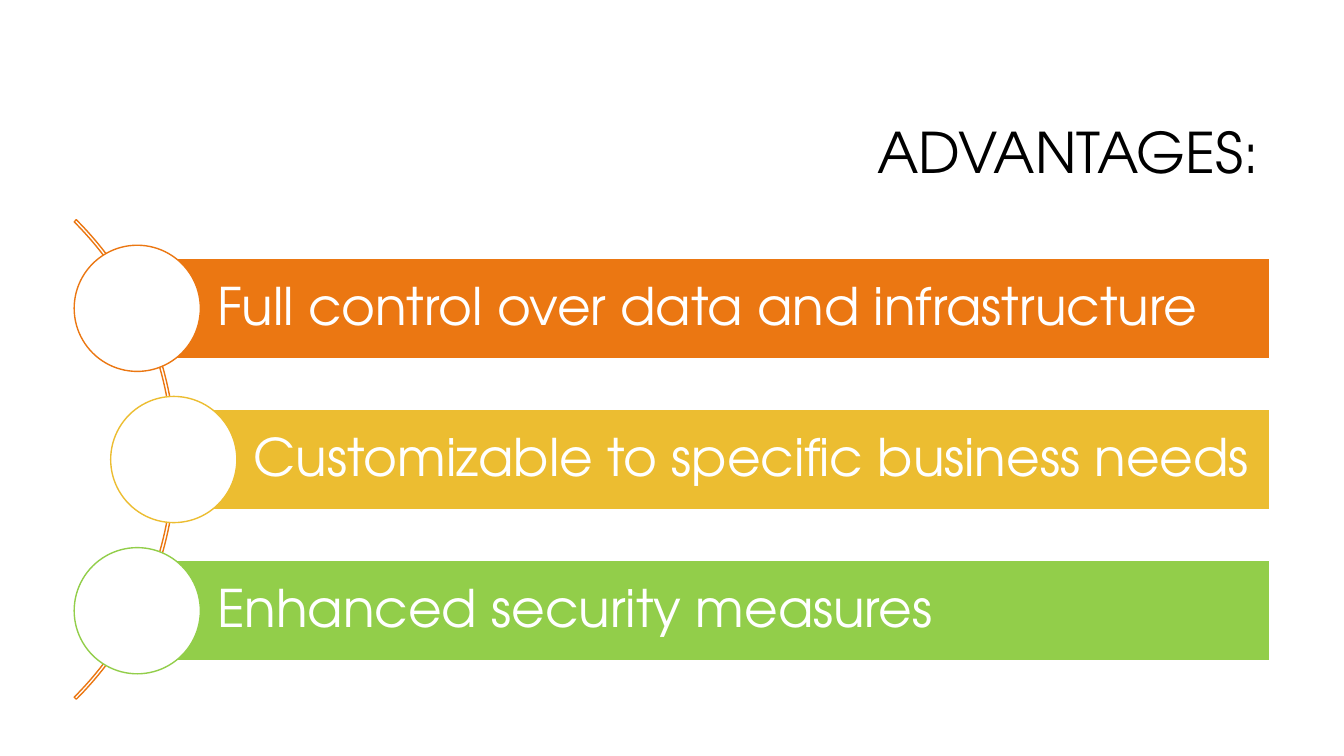
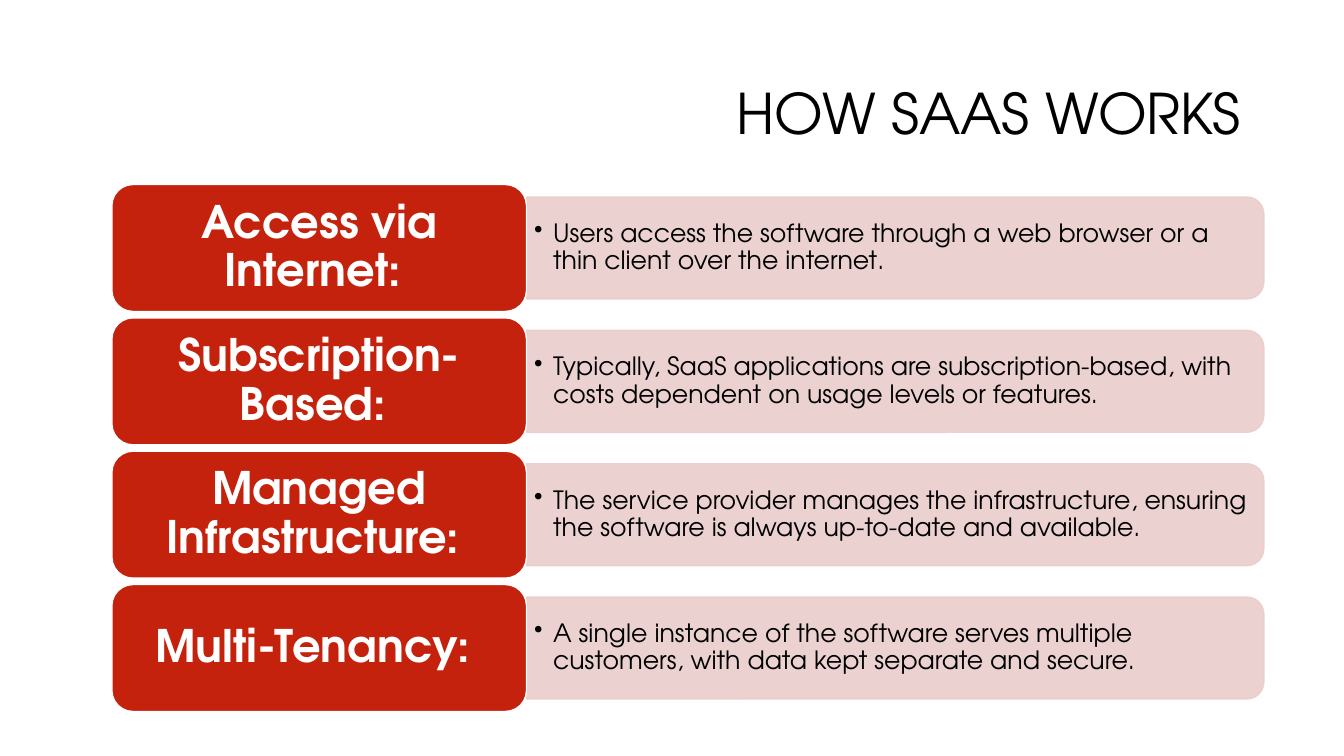
from dataclasses import dataclass

from lxml.etree import SubElement
from pptx import Presentation
from pptx.dml.color import RGBColor
from pptx.enum.shapes import MSO_SHAPE
from pptx.enum.text import MSO_ANCHOR, PP_ALIGN
from pptx.oxml.ns import qn
from pptx.util import Cm, Pt

FONT = "TeX Gyre Adventor"
BLACK = RGBColor(0x00, 0x00, 0x00)
WHITE = RGBColor(0xFF, 0xFF, 0xFF)
ORANGE = RGBColor(0xEB, 0x77, 0x12)
YELLOW = RGBColor(0xEC, 0xBD, 0x31)
GREEN = RGBColor(0x92, 0xCE, 0x4A)
RED = RGBColor(0xC4, 0x22, 0x0D)
PINK = RGBColor(0xEA, 0xCD, 0xCC)

ADVANTAGES = [
    ("Full control over data and infrastructure", ORANGE, 0),
    ("Customizable to specific business needs", YELLOW, 0.92),
    ("Enhanced security measures", GREEN, 0),
]
SAAS_FEATURES = [
    ("Access via Internet: ",
     "Users access the software through a web browser or a thin client over the internet."),
    ("Subscription-Based: ",
     "Typically, SaaS applications are subscription-based, with costs dependent on "
     "usage levels or features."),
    ("Managed Infrastructure: ",
     "The service provider manages the infrastructure, ensuring the software is "
     "always up-to-date and available."),
    ("Multi-Tenancy: ",
     "A single instance of the software serves multiple customers, with data kept "
     "separate and secure."),
]


@dataclass
class Box:
    """A rectangle in centimetres."""
    left: float
    top: float
    width: float
    height: float

    @property
    def middle(self):
        return self.top + self.height / 2

    def lengths(self):
        return [Cm(side) for side in (self.left, self.top, self.width, self.height)]


def centred_box(x, y, width, height):
    return Box(x - width / 2, y - height / 2, width, height)


def write_text(shape, text, *, size, color=BLACK, bold=False, align=PP_ALIGN.LEFT,
               insets=(0.25, 0.25), bullet_indent=None):
    """Write one paragraph; insets are (left and right) or (left, right), in cm."""
    frame = shape.text_frame
    frame.word_wrap = True
    frame.vertical_anchor = MSO_ANCHOR.MIDDLE
    frame.margin_left, frame.margin_right = (Cm(inset) for inset in insets)
    frame.margin_top = frame.margin_bottom = Cm(0.1)
    para = frame.paragraphs[0]
    para.alignment = align
    para.line_spacing = 0.9
    if bullet_indent:
        properties = para._p.get_or_add_pPr()
        properties.set("marL", str(Cm(bullet_indent)))
        properties.set("indent", str(-Cm(bullet_indent)))
        SubElement(properties, qn("a:buChar"), char="•")
    span = para.add_run()
    span.text = text
    span.font.name = FONT
    span.font.size = Pt(size)
    span.font.bold = bold
    span.font.color.rgb = color


def add_figure(page, preset, box, fill, line):
    shape = page.shapes.add_shape(preset, *box.lengths())
    shape.shadow.inherit = False
    if fill is None:
        shape.fill.background()
    else:
        shape.fill.solid()
        shape.fill.fore_color.rgb = fill
    shape.line.color.rgb = line
    shape.line.width = Pt(1)
    return shape


def set_opacity(shape, percent):
    for color in shape._element.spPr.iter(qn("a:srgbClr")):
        SubElement(color, qn("a:alpha"), val=str(percent * 1000))


def add_page(deck, title, title_box):
    page = deck.slides.add_slide(deck.slide_layouts[6])
    heading = page.shapes.add_textbox(*title_box.lengths())
    write_text(heading, title, size=40, align=PP_ALIGN.RIGHT)
    return page


def add_curved_list(page, box, items, pitch):
    """Draw bars with circles at their left ends, along an arc centred on the list."""
    bar_height, circle_size, arc_size = 2.54, 3.18, 17.09
    arc_middle = box.top + (pitch * (len(items) - 1) + bar_height) / 2
    arc_box = centred_box(box.left - 7.58, arc_middle, arc_size, arc_size)
    arc = add_figure(page, MSO_SHAPE.BLOCK_ARC, arc_box, None, ORANGE)
    for index, value in enumerate((189, 27, 0.0044)):
        arc.adjustments[index] = value

    for row, (text, color, shift) in enumerate(items):
        bar_box = Box(box.left + shift, box.top + row * pitch,
                      box.width - shift, bar_height)
        bar = add_figure(page, MSO_SHAPE.RECTANGLE, bar_box, color, WHITE)
        write_text(bar, text, size=37, color=WHITE, insets=(2.01, 0.25))
        circle_box = centred_box(bar_box.left, bar_box.middle, circle_size, circle_size)
        add_figure(page, MSO_SHAPE.OVAL, circle_box, WHITE, color)


def add_feature_row(page, box, label, detail):
    """Draw a red label and, to its right, a pink panel rounded on the far side."""
    label_width, panel_height = 10.45, 2.57
    panel_left = box.left + label_width
    panel_width = box.width - label_width
    upright_box = centred_box(panel_left + panel_width / 2, box.middle,
                              panel_height, panel_width)
    panel = add_figure(page, MSO_SHAPE.ROUND_2_SAME_RECTANGLE, upright_box, PINK, PINK)
    panel.rotation = 90
    set_opacity(panel, 90)

    detail_box = Box(panel_left, box.middle - 1.16, panel_width - 0.13, 2.32)
    detail_text = page.shapes.add_textbox(*detail_box.lengths())
    write_text(detail_text, detail, size=18, insets=(0.19, 0.19), bullet_indent=0.48)

    label_box = Box(box.left, box.top, label_width, box.height)
    label_shape = add_figure(page, MSO_SHAPE.ROUNDED_RECTANGLE, label_box, RED, WHITE)
    write_text(label_shape, label, size=32, color=WHITE, bold=True,
               align=PP_ALIGN.CENTER, insets=(0.3, 0.3))


def build_advantages(deck):
    page = add_page(deck, "ADVANTAGES:", Box(8.05, 2.13, 23.93, 3.58))
    add_curved_list(page, Box(3.46, 6.5, 28.54, 10.16), ADVANTAGES, pitch=3.81)


def build_saas(deck):
    page = add_page(deck, "HOW SAAS WORKS", Box(13.36, 1.65, 18.16, 2.59))
    for row, (label, detail) in enumerate(SAAS_FEATURES):
        add_feature_row(page, Box(2.82, 4.65 + row * 3.36, 29.03, 3.2), label, detail)


def main():
    deck = Presentation()
    deck.slide_width, deck.slide_height = Cm(33.87), Cm(19.05)
    build_advantages(deck)
    build_saas(deck)
    deck.save("out.pptx")


if __name__ == "__main__":
    main()
